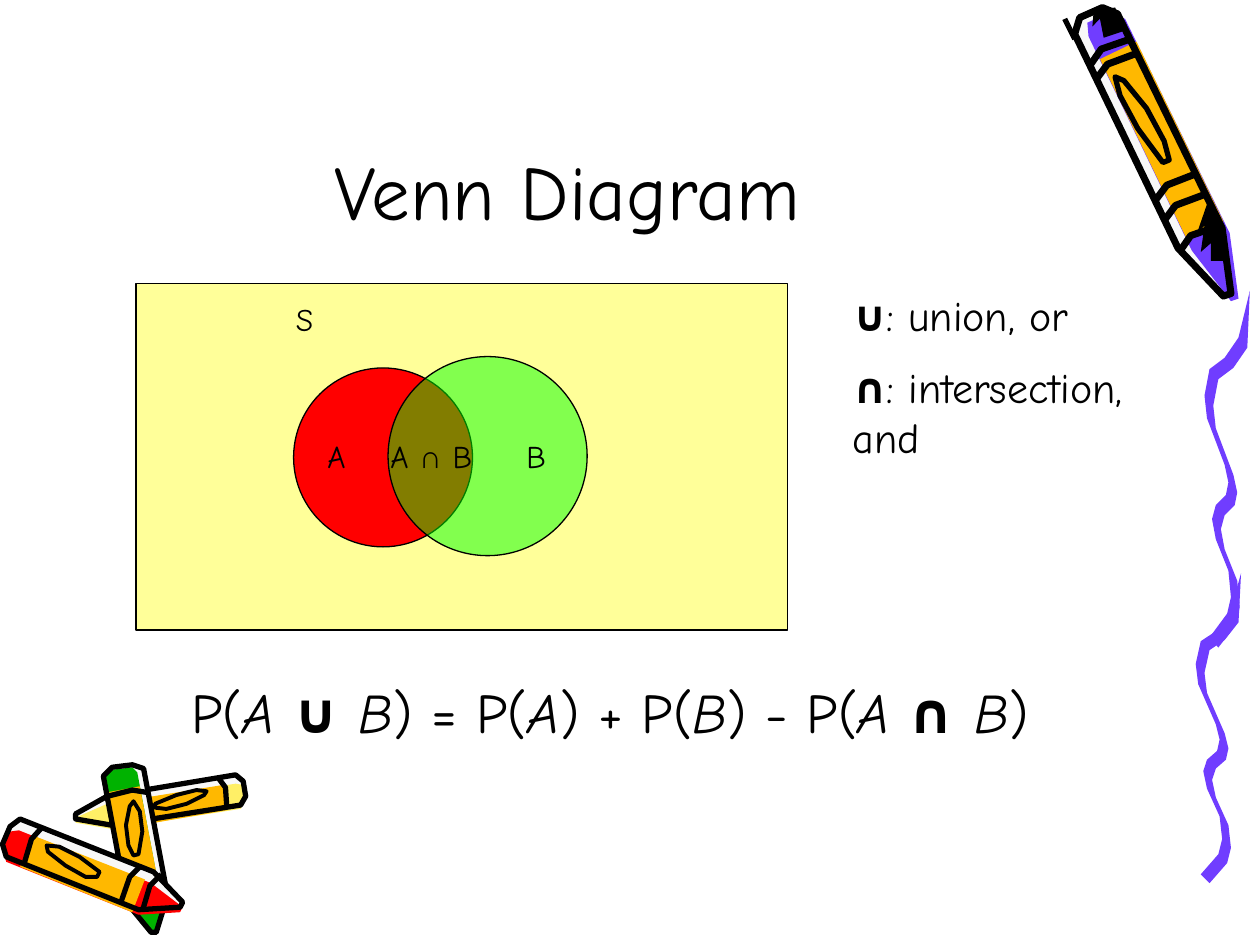
from math import hypot

from lxml.etree import SubElement
from pptx import Presentation
from pptx.dml.color import RGBColor
from pptx.enum.shapes import MSO_CONNECTOR, MSO_SHAPE
from pptx.enum.text import MSO_ANCHOR, MSO_AUTO_SIZE, PP_ALIGN
from pptx.oxml.ns import qn
from pptx.util import Pt

PX = 9144  # EMU in one px, 100 px to the inch
COLORS = {name: RGBColor.from_string(code) for name, code in {
    "black": "000000", "paper": "F8F8F8", "purple": "703DFF", "orange": "FFB800",
    "red": "FF0000", "green": "00B200", "lemon": "FFEF66",
    "sample space": "FFFF99", "event B": "00FF00",
}.items()}


def add_text(para, text, size=18, bold=False, italic=False, font="Comic Neue"):
    span = para.add_run()
    span.text = text
    span.font.name = font
    span.font.size = Pt(size)
    span.font.bold = bold
    span.font.italic = italic
    span.font.color.rgb = COLORS["black"]


def add_outline(points, fill=None, stroke=0, close=True):
    """Draw a polygon or open line through points in px; stroke is in points."""
    builder = page.shapes.build_freeform(*points[0], scale=PX)
    builder.add_line_segments(points[1:], close=close)
    outline = builder.convert_to_shape()
    outline.shadow.inherit = False
    if fill:
        outline.fill.solid()
        outline.fill.fore_color.rgb = COLORS[fill]
    else:
        outline.fill.background()
    if stroke:
        outline.line.color.rgb = COLORS["black"]
        outline.line.width = Pt(stroke)
    else:
        outline.line.fill.background()


deck = Presentation()
deck.slide_width, deck.slide_height = 1000 * PX, 750 * PX
page = deck.slides.add_slide(deck.slide_layouts[5])

# One crayon as (along, across): along runs from 0 at the blunt end to 1 at
# the tip, across from 1 on the lit edge to -1 on the shaded edge
SHOULDER = 0.8
silhouette = [(0.04, 1), (0, 0.5), (0, -0.5), (0.04, -1),
              (SHOULDER, -1), (1, -0.15), (1, 0.15), (SHOULDER, 1)]
wax = [(along, min(across, 0.7)) for along, across in silhouette]
wrapper = [(0.12, 0.7), (0.12, -1), (0.76, -1), (0.76, 0.7)]
label = [(0.22, 0.25), (0.28, 0.45), (0.4, 0.35), (0.53, 0),
         (0.53, -0.25), (0.47, -0.45), (0.35, -0.35), (0.24, 0)]
blunt_shade = [(0, -0.1), (0.04, 0.2), (0.03, -0.2), (0.09, 0), (0.1, -1), (0.02, -1)]
tip_shade = [(0.7, -1), (0.78, 0), (0.77, -0.4), (0.84, 0.2),
             (0.83, -0.3), (0.88, 0), (0.9, -0.5), (SHOULDER, -1)]

# Crayons: wax colour, blunt end, tip, half width (negative when the lit edge
# is on the other side), shift of the colours, stroke, bands, shades
crayons = [
    ("purple", (866, 10), (974, 234), 19, (6, 4), 4,
     (0.13, 0.18, 0.61, 0.68, 0.79), [blunt_shade, tip_shade]),
    ("lemon", (194, 626), (60, 648), 12, (0, 3), 3, (0.12, 0.79), []),
    ("green", (97, 608), (122, 740), -16, (0, 2), 3, (0.16,), []),
    ("red", (5, 663), (144, 718), -16, (0, 4), 3, (0.14, 0.7, 0.82), []),
]
for wax_color, blunt, tip, half_width, shift, stroke, bands, shades in crayons:
    run, rise = tip[0] - blunt[0], tip[1] - blunt[1]
    length = hypot(run, rise)
    side_x, side_y = -rise / length * half_width, run / length * half_width

    # Parts from back to front: corners, shift, format
    parts = [
        (silhouette, (0, 0), {"fill": "paper"}),
        (wax, shift, {"fill": wax_color}),
        (wrapper, shift, {"fill": "orange"}),
    ]
    parts += [(shade, (0, 0), {"fill": "black"}) for shade in shades]
    for band in bands:
        curve = [(band + 0.02, 1), (band - 0.01, 0.3), (band, -1)]
        parts.append((curve, (0, 0), {"stroke": stroke, "close": False}))
    parts.append((label, (0, 0), {"stroke": stroke * 0.75}))
    parts.append((silhouette, (0, 0), {"stroke": stroke}))

    for corners, (shift_x, shift_y), style in parts:
        points = [(round(blunt[0] + along * run + across * side_x + shift_x),
                   round(blunt[1] + along * rise + across * side_y + shift_y))
                  for along, across in corners]
        add_outline(points, **style)

# Squiggle: one wavy edge from bottom to top, thickened by a shifted way back,
# drawn twice with the upper wave stretched
wave_edge = [(4, 239), (18, 223), (21, 211), (19, 193), (9, 171), (6, 157),
             (9, 148), (17, 141), (19, 132), (16, 120), (2, 88), (0, 72),
             (4, 54), (16, 46), (27, 32), (36, 0)]
THICKNESS = 7
way_back = [(x + THICKNESS, y + THICKNESS) for x, y in reversed(wave_edge[:-1])]
for left, top, stretch in [(949, 455, 1), (956, 231, 1.15)]:
    add_outline([(left + x, round(top + y * stretch)) for x, y in wave_edge + way_back],
                fill="purple")

# Title
title = page.shapes.title
title.left, title.top, title.width, title.height = 75 * PX, 17 * PX, 751 * PX, 175 * PX
title.text_frame.auto_size = MSO_AUTO_SIZE.NONE
title.text_frame.vertical_anchor = MSO_ANCHOR.BOTTOM
title_para = title.text_frame.paragraphs[0]
title_para.alignment = PP_ALIGN.CENTER
add_text(title_para, "Venn Diagram", size=44)

# Short stroke at the blunt end of the large crayon
end_stroke = page.shapes.add_connector(
    MSO_CONNECTOR.STRAIGHT, 845 * PX, 15 * PX, 853 * PX, 31 * PX)
end_stroke.line.color.rgb = COLORS["black"]
end_stroke.line.width = Pt(3)
SubElement(end_stroke.element.spPr, qn("a:effectLst"))

# Sample space and the two events
for kind, left, top, width, height, fill in [
    (MSO_SHAPE.RECTANGLE, 108, 225, 517, 275, "sample space"),
    (MSO_SHAPE.OVAL, 233, 292, 142, 142, "red"),
    (MSO_SHAPE.OVAL, 308, 283, 158, 158, "event B"),
]:
    region = page.shapes.add_shape(kind, left * PX, top * PX, width * PX, height * PX)
    region.shadow.inherit = False
    region.fill.solid()
    region.fill.fore_color.rgb = COLORS[fill]
    region.line.color.rgb = COLORS["black"]
    region.line.width = Pt(0.75)
# Event B, the last region, is see-through
SubElement(region.element.find(".//" + qn("a:srgbClr")), qn("a:alpha"), val="49000")

# Formula, labels and legend: box, size, paragraphs of (text, format) spans
plain, bold, italic = {}, {"bold": True}, {"italic": True}
formula = [
    ("P(", plain), ("A ", italic), ("∪ ", bold), ("B", italic), (") = P(", plain),
    ("A", italic), (") + P(", plain), ("B", italic), (") - P(", plain),
    ("A ", italic), ("∩ ", bold), ("B", italic), (")", plain),
]
intersection = [("A ", plain), ("∩", {"bold": True, "font": "Arial"}), (" B", plain)]
legend = [[("∪", bold), (": union, or", plain)],
          [("∩", bold), (": intersection, and", plain)]]
for left, top, width, height, size, paragraphs in [
    (142, 533, 717, 75, 32, [formula]),
    (225, 233, 67, 40, 18, [[("S", plain)]]),
    (250, 342, 42, 40, 18, [[("A", plain)]]),
    (408, 342, 33, 40, 18, [[("B", plain)]]),
    (300, 342, 108, 40, 18, [intersection]),
    (667, 225, 275, 150, 24, legend),
]:
    box = page.shapes.add_textbox(left * PX, top * PX, width * PX, height * PX)
    frame = box.text_frame
    frame.word_wrap = True
    for index, spans in enumerate(paragraphs):
        para = frame.add_paragraph() if index else frame.paragraphs[0]
        if index:
            para.space_before = Pt(size / 2)
        for text, style in spans:
            add_text(para, text, size=size, **style)

deck.save("out.pptx")
